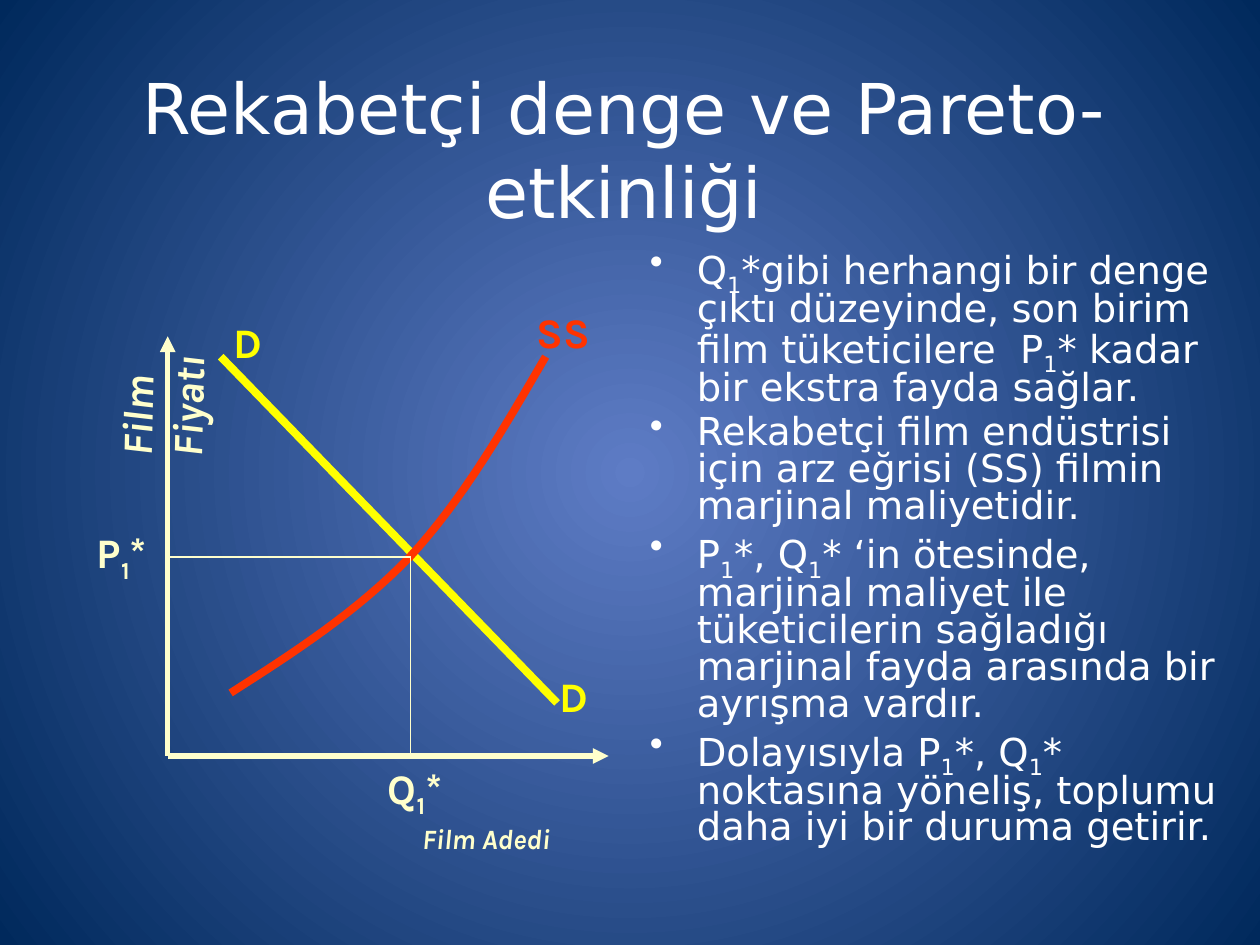
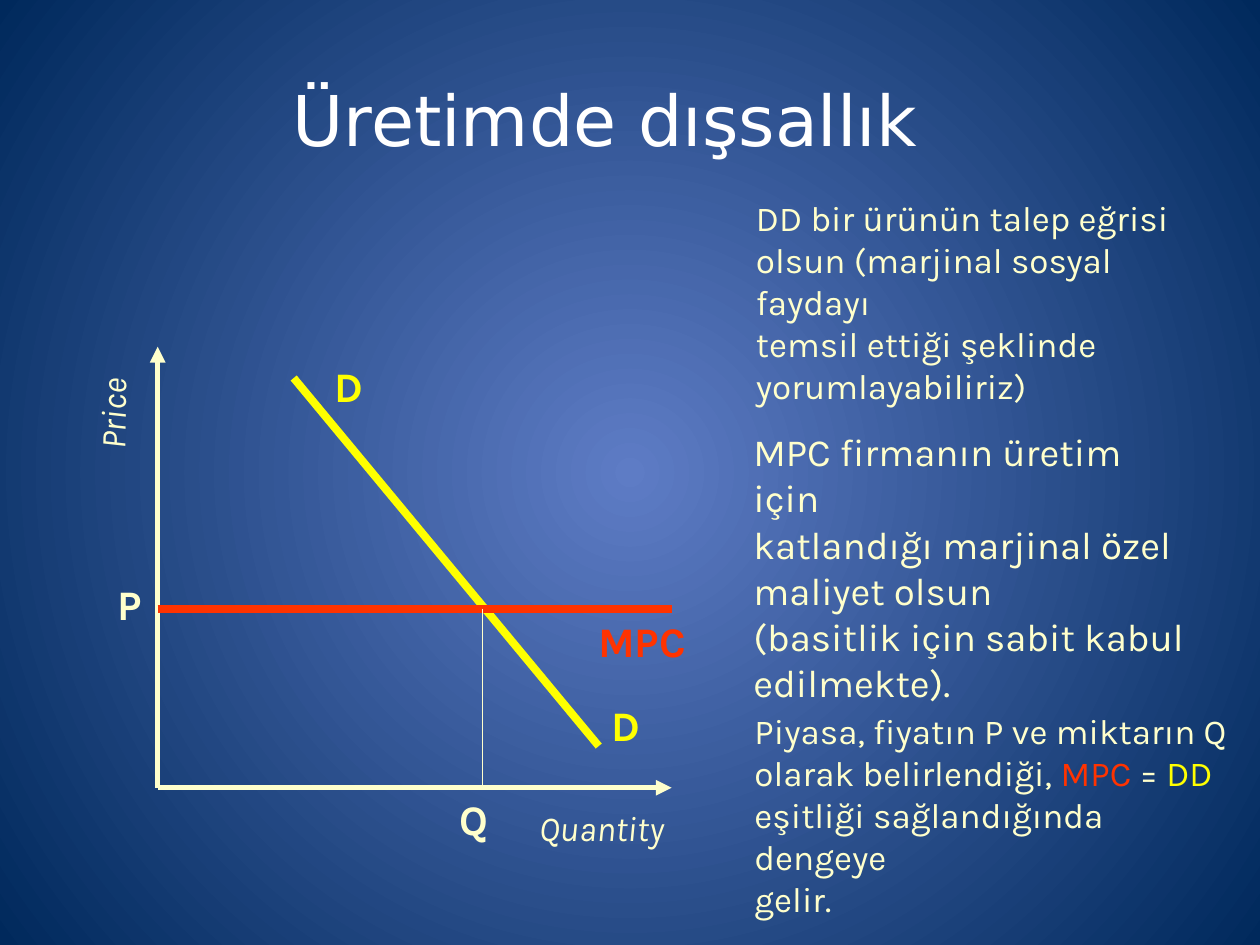
from dataclasses import dataclass

from lxml import etree
from pptx import Presentation
from pptx.dml.color import RGBColor
from pptx.enum.shapes import MSO_CONNECTOR
from pptx.enum.text import MSO_ANCHOR, PP_ALIGN
from pptx.oxml.ns import qn
from pptx.util import Cm, Pt

STRAIGHT = MSO_CONNECTOR.STRAIGHT
MIDDLE, TOP = MSO_ANCHOR.MIDDLE, MSO_ANCHOR.TOP
CENTER, LEFT = PP_ALIGN.CENTER, PP_ALIGN.LEFT


@dataclass(frozen=True)
class Theme:
    glow: str = "5E7CC5"
    navy: str = "00295C"
    white: str = "FFFFFF"
    cream: str = "FFFFCC"
    demand: str = "FFFF00"
    cost: str = "FF3300"
    heading_font: str = "DejaVu Sans"
    label_font: str = "Karla"
    title_size: int = 40
    label_size: int = 24
    body_size: int = 22
    note_size: int = 20
    small_size: int = 16
    axis_width: float = 3
    curve_width: float = 4.5
    guide_width: float = 0.75


THEME = Theme()


def rgb(color):
    return RGBColor.from_string(color)


def set_background(master):
    fill = master.background.fill
    fill.gradient()
    for stop, position, color in zip(
        fill.gradient_stops, (0, 1), (THEME.glow, THEME.navy)
    ):
        stop.position = position
        stop.color.rgb = rgb(color)
    gradient = master.element.find(".//" + qn("a:gradFill"))
    direction = gradient.find(qn("a:lin"))
    if direction is not None:
        gradient.remove(direction)
    circle = etree.SubElement(gradient, qn("a:path"), path="circle")
    sides = dict.fromkeys("ltrb", "50000")
    etree.SubElement(circle, qn("a:fillToRect"), **sides)


def write_runs(paragraph, marked_text, font, size, color, bold, italic, accents):
    for piece in marked_text.split("|"):
        run = paragraph.add_run()
        run.text = piece
        run.font.name = font
        run.font.size = Pt(size)
        run.font.bold = bold
        run.font.italic = italic
        run.font.color.rgb = rgb(accents.get(piece.strip(), color))
        if piece == "1":
            run.font.element.set("baseline", "-25000") if hasattr(
                run.font, "element"
            ) else run._r.get_or_add_rPr().set("baseline", "-25000")


def add_text(slide, area, lines, size=THEME.label_size, color=THEME.cream,
             font=THEME.label_font, bold=False, italic=False, rotation=0,
             align=LEFT, anchor=TOP, accents=None):
    box = slide.shapes.add_textbox(*map(Cm, area))
    box.rotation = rotation
    frame = box.text_frame
    frame.word_wrap = True
    frame.vertical_anchor = anchor
    for index, line in enumerate(lines):
        paragraph = frame.add_paragraph() if index else frame.paragraphs[0]
        paragraph.alignment = align
        write_runs(paragraph, line, font, size, color, bold, italic, accents or {})
    return frame


def add_title(slide, left, top, title):
    add_text(slide, (left, top, 21.59, 3.18), [title], THEME.title_size,
             THEME.white, THEME.heading_font, align=CENTER, anchor=MIDDLE)


def add_bullets(slide, area, points):
    frame = add_text(slide, area, points, THEME.body_size, THEME.white,
                     THEME.heading_font)
    for index, paragraph in enumerate(frame.paragraphs):
        properties = paragraph._p.get_or_add_pPr()
        properties.set("marL", str(Cm(0.95)))
        properties.set("indent", str(-Cm(0.95)))
        etree.SubElement(properties, qn("a:buChar"), char="•")
        paragraph.line_spacing = 0.8
        paragraph.space_before = Pt(0.2 * THEME.body_size if index else 0)


def add_label(slide, left, top, text, color=THEME.cream, width=1.17):
    add_text(slide, (left, top, width, 1.27), [text], color=color, bold=True)


def add_line(slide, start, end, color, width, arrow=False):
    line = slide.shapes.add_connector(STRAIGHT, *map(Cm, start + end))
    line.line.color.rgb = rgb(color)
    line.line.width = Pt(width)
    properties = line._element.spPr
    if arrow:
        outline = properties.find(qn("a:ln"))
        etree.SubElement(outline, qn("a:tailEnd"), type="triangle")
    etree.SubElement(properties, qn("a:effectLst"))


def add_axes(slide, origin, right, top):
    for end in ((right, origin[1]), (origin[0], top)):
        add_line(slide, origin, end, THEME.cream, THEME.axis_width, arrow=True)


def add_guide(slide, start, end):
    add_line(slide, start, end, THEME.cream, THEME.guide_width)


def add_demand(slide, start, end, label_places):
    add_line(slide, start, end, THEME.demand, THEME.curve_width)
    for left, top in label_places:
        add_label(slide, left, top, "D", THEME.demand)


def bezier_points(controls, steps=16):
    for step in range(1, steps + 1):
        t = step / steps
        weights = ((1 - t) ** 3, 3 * t * (1 - t) ** 2, 3 * t * t * (1 - t), t ** 3)
        yield tuple(
            Cm(sum(w * value for w, value in zip(weights, axis)))
            for axis in zip(*controls)
        )


def add_curve(slide, controls, color):
    builder = slide.shapes.build_freeform(*map(Cm, controls[0]))
    for first in range(0, len(controls) - 1, 3):
        segment = controls[first:first + 4]
        builder.add_line_segments(bezier_points(segment), close=False)
    curve = builder.convert_to_shape()
    curve.shadow.inherit = False
    curve.fill.background()
    curve.line.color.rgb = rgb(color)
    curve.line.width = Pt(THEME.curve_width)


def build_equilibrium(slide):
    add_title(slide, 1.78, 1.4, "Rekabetçi denge ve Pareto-etkinliği")
    add_bullets(slide, (12.85, 4.93, 12.55, 13.34), [
        "Q|1|*gibi herhangi bir denge çıktı düzeyinde, son birim film "
        "tüketicilere  P|1|* kadar bir ekstra fayda sağlar.",
        "Rekabetçi film endüstrisi için arz eğrisi (SS) filmin marjinal "
        "maliyetidir.",
        "P|1|*, Q|1|* ‘in ötesinde, marjinal maliyet ile tüketicilerin "
        "sağladığı marjinal fayda arasında bir ayrışma vardır.",
        "Dolayısıyla P|1|*, Q|1|* noktasına yöneliş, toplumu daha iyi bir "
        "duruma getirir.",
    ])
    origin = (3.38, 15.24)
    balance = (8.28, 11.23)
    add_axes(slide, origin, 12.27, 6.78)
    add_demand(slide, (4.45, 7.19), (11.23, 14.17),
               [(11.02, 13.39), (4.45, 6.25)])
    add_curve(slide, [
        (4.65, 13.97), (5.92, 13.16), (7.19, 12.34), (8.26, 11.23),
        (9.32, 10.08), (10.16, 8.64), (11, 7.19),
    ], THEME.cost)
    add_label(slide, 10.57, 6.05, "SS", THEME.cost, 1.65)
    add_guide(slide, balance, (balance[0], origin[1]))
    add_guide(slide, balance, (origin[0], balance[1]))
    add_label(slide, 7.57, 15.24, "Q|1|*", width=1.8)
    add_label(slide, 1.7, 10.49, "P|1|*", width=1.73)
    add_text(slide, (8.26, 16.43, 3.4, 0.94), ["Film Adedi"],
             THEME.small_size, bold=True, italic=True)
    add_text(slide, (0.79, 7.09, 3.68, 1.02), ["Film Fiyatı"],
             bold=True, italic=True, rotation=271.1)


def build_externality(slide):
    add_title(slide, 1.4, 0.79, "Üretimde dışsallık")
    origin = (3.18, 15.88)
    axis_end = 13.54
    balance = (9.73, 12.27)
    add_axes(slide, origin, axis_end, 6.99)
    add_text(slide, (10.62, 16.13, 3.12, 1.09), ["Quantity"],
             THEME.note_size, italic=True)
    add_text(slide, (1.19, 7.7, 2.13, 1.09), ["Price"],
             THEME.note_size, italic=True, rotation=270.9)
    add_demand(slide, (5.92, 7.62), (12.07, 15.04),
               [(12.07, 13.97), (6.5, 7.14)])
    add_line(slide, (origin[0], balance[1]), (axis_end, balance[1]),
             THEME.cost, THEME.curve_width)
    add_label(slide, 11.81, 12.29, "MPC", THEME.cost, 2.39)
    add_guide(slide, balance, (balance[0], origin[1]))
    add_label(slide, 2.11, 11.53, "P")
    add_label(slide, 9.02, 15.88, "Q")
    add_text(slide, (14.99, 3.84, 9.86, 3.68), [
        "DD bir ürünün talep eğrisi",
        "olsun (marjinal sosyal faydayı",
        "temsil ettiği şeklinde",
        "yorumlayabiliriz)",
    ], THEME.note_size)
    add_text(slide, (14.94, 8.51, 9.32, 4.95), [
        "MPC firmanın üretim için",
        "katlandığı marjinal özel",
        "maliyet olsun",
        "(basitlik için sabit kabul",
        "edilmekte).",
    ], THEME.body_size)
    add_text(slide, (14.96, 14.17, 10.11, 3.68), [
        "Piyasa, fiyatın P ve miktarın Q",
        "olarak belirlendiği, |MPC |= |DD",
        "eşitliği sağlandığında dengeye",
        "gelir.",
    ], THEME.note_size, accents={"MPC": THEME.cost, "DD": THEME.demand})


def main():
    presentation = Presentation()
    presentation.slide_width = Cm(25.4)
    presentation.slide_height = Cm(19.05)
    set_background(presentation.slide_master)
    blank = presentation.slide_layouts[6]
    for build in (build_equilibrium, build_externality):
        build(presentation.slides.add_slide(blank))
    presentation.save("out.pptx")


if __name__ == "__main__":
    main()
